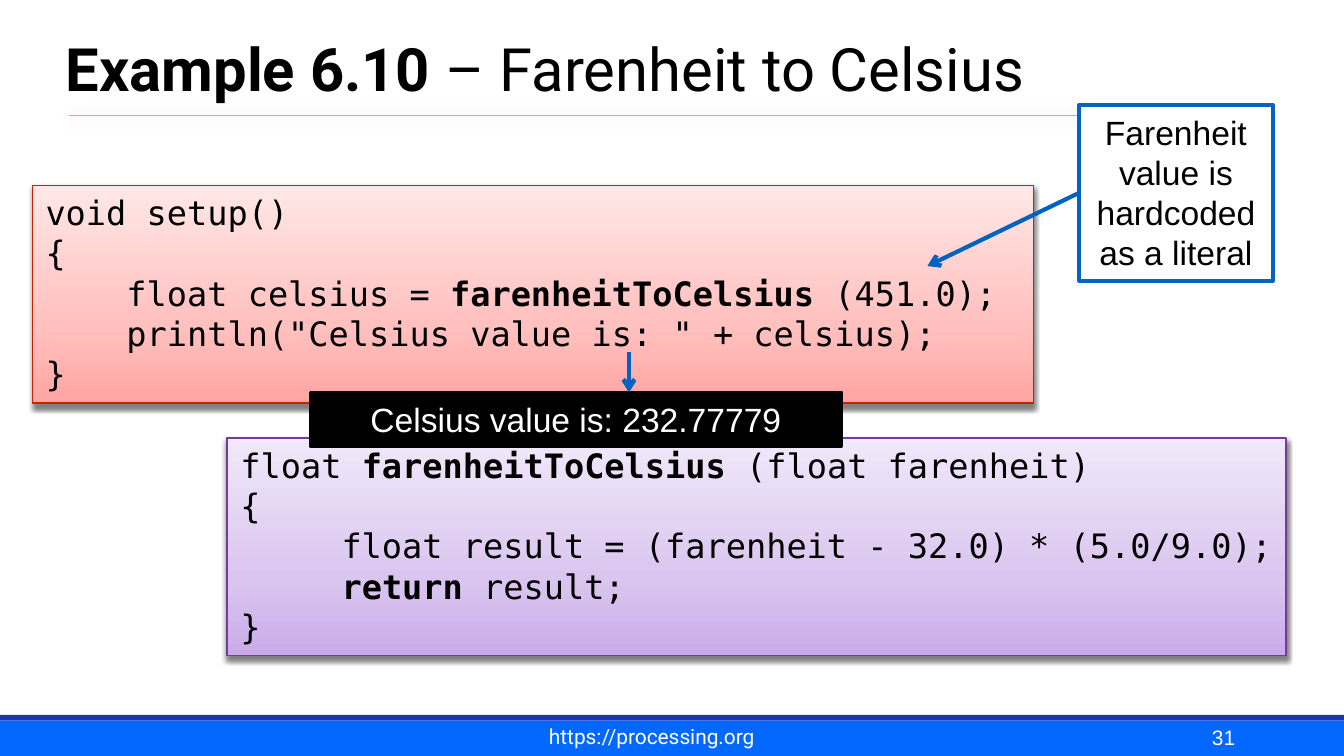
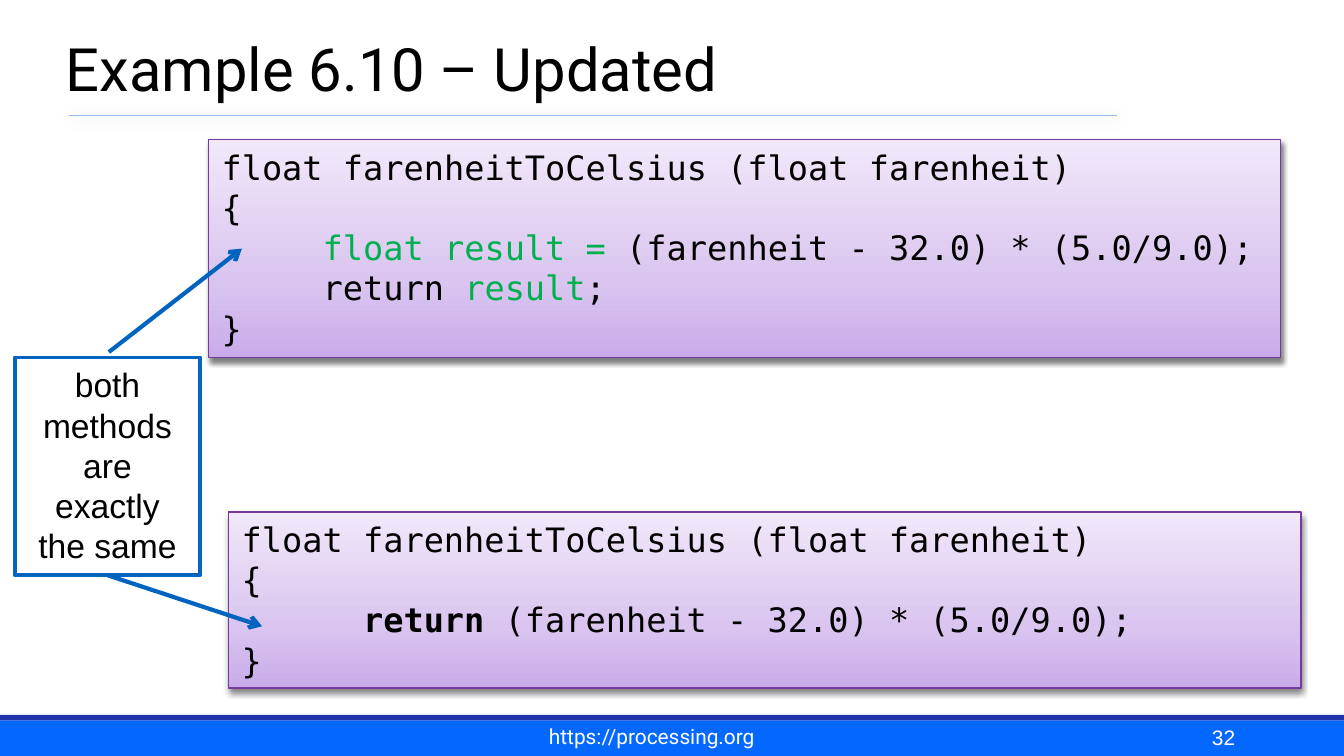
"""Builds two code-example slides on converting Farenheit to Celsius."""
from lxml import etree
from pptx import Presentation
from pptx.dml.color import RGBColor
from pptx.enum.shapes import MSO_CONNECTOR, MSO_SHAPE
from pptx.enum.text import MSO_ANCHOR, PP_ALIGN
from pptx.oxml.ns import qn
from pptx.util import Inches, Pt

RECTANGLE = MSO_SHAPE.RECTANGLE
STRAIGHT = MSO_CONNECTOR.STRAIGHT
TOP, BOTTOM = MSO_ANCHOR.TOP, MSO_ANCHOR.BOTTOM
LEFT, CENTER, RIGHT = PP_ALIGN.LEFT, PP_ALIGN.CENTER, PP_ALIGN.RIGHT

WIDTH = 10
HEIGHT = WIDTH * 9 / 16
BAND_TOP = 5.36

COLORS = {
    "black": "000000", "white": "FFFFFF", "green": "00B050",
    "band": "0368FF", "band_edge": "1F33AB",
    "rule": "94BBE7", "rule_shadow": "003D62",
    "callout": "0365C0", "arrow": "0063BF",
    "red_line": "C82101", "purple_line": "753B9A",
}
GRADIENTS = {
    "red": ((0, "FFA5A3"), (35, "FFC0BE"), (100, "FFE7E6")),
    "purple": ((0, "CAABEA"), (35, "D9C5EF"), (100, "F1E8FA")),
}


def add_box(slide, at, lines=(), fill=None, gradient=None, line=None, line_width=2,
            font="Arial", size=18, color="black", align=CENTER, anchor=TOP, inset=(0.1, 0.05)):
    """Add a rectangle; each line is a list of strings or (string, style) pairs."""
    box = slide.shapes.add_shape(RECTANGLE, *map(Inches, at))
    box.shadow.inherit = False
    if gradient:
        box.fill.gradient()
        box.fill.gradient_angle = 90
        stops = box.element.spPr.find(qn("a:gradFill")).find(qn("a:gsLst"))
        for stop in list(stops):
            stops.remove(stop)
        for position, shade in GRADIENTS[gradient]:
            stop = etree.SubElement(stops, qn("a:gs"), pos=str(position * 1000))
            etree.SubElement(stop, qn("a:srgbClr"), val=shade)
        effects = box.element.spPr.find(qn("a:effectLst"))
        shadow = etree.SubElement(effects, qn("a:outerShdw"), blurRad=str(Pt(3)),
                                  dist=str(Pt(2)), dir="5400000", rotWithShape="0")
        shade = etree.SubElement(shadow, qn("a:srgbClr"), val=COLORS["black"])
        etree.SubElement(shade, qn("a:alpha"), val="50000")
    elif fill:
        box.fill.solid()
        box.fill.fore_color.rgb = RGBColor.from_string(COLORS[fill])
    else:
        box.fill.background()
    if line:
        box.line.color.rgb = RGBColor.from_string(COLORS[line])
        box.line.width = Pt(line_width)
    else:
        box.line.fill.background()

    frame = box.text_frame
    frame.word_wrap = True
    frame.vertical_anchor = anchor
    frame.margin_left = frame.margin_right = Inches(inset[0])
    frame.margin_top = frame.margin_bottom = Inches(inset[1])
    for index, pieces in enumerate(lines):
        paragraph = frame.add_paragraph() if index else frame.paragraphs[0]
        paragraph.alignment = align
        for piece in pieces:
            text, style = (piece, None) if isinstance(piece, str) else piece
            run = paragraph.add_run()
            run.text = text
            run.font.name = font
            run.font.size = Pt(size)
            run.font.bold = style == "bold"
            run.font.color.rgb = RGBColor.from_string(COLORS["green" if style == "green" else color])
    return box


def add_line(slide, start, end, color="arrow", width=2.25, arrow=True, source=None, side=0):
    """Add a line, with an arrowhead or a soft shadow, from a point or the side of a box."""
    connector = slide.shapes.add_connector(STRAIGHT, *map(Inches, start + end))
    if source is not None:
        connector.begin_connect(source, side)
    connector.line.color.rgb = RGBColor.from_string(COLORS[color])
    connector.line.width = Pt(width)
    properties = connector.element.spPr
    effects = etree.SubElement(properties, qn("a:effectLst"))
    if arrow:
        etree.SubElement(properties.find(qn("a:ln")), qn("a:tailEnd"), type="arrow")
    else:
        shadow = etree.SubElement(effects, qn("a:outerShdw"), blurRad=str(Pt(8)),
                                  dist=str(Pt(1)), dir="2700000", rotWithShape="0")
        shade = etree.SubElement(shadow, qn("a:srgbClr"), val=COLORS["rule_shadow"])
        etree.SubElement(shade, qn("a:alpha"), val="20000")


CODE = {"font": "DejaVu Sans Mono", "align": LEFT, "line_width": 0.75}
RED_CODE = {**CODE, "gradient": "red", "line": "red_line"}
PURPLE_CODE = {**CODE, "gradient": "purple", "line": "purple_line"}
CALLOUT = {"fill": "white", "line": "callout"}
TITLES = (
    (31, [("Example 6.10 ", "bold"), "– Farenheit to Celsius"]),
    (32, ["Example 6.10 – Updated"]),
)

deck = Presentation()
deck.slide_width, deck.slide_height = Inches(WIDTH), Inches(HEIGHT)

slides = []
for number, title in TITLES:
    slide = deck.slides.add_slide(deck.slide_layouts[6])
    add_box(slide, (0, BAND_TOP, WIDTH, HEIGHT - BAND_TOP), fill="band")
    add_box(slide, (0, 5.32, WIDTH, 0.04), fill="band_edge")
    add_line(slide, (0.51, 0.86), (8.31, 0.86), color="rule", width=1, arrow=False)
    add_box(slide, (0.43, 0, 8.5, 0.83), [title], font="Roboto", size=32,
            align=LEFT, anchor=BOTTOM, inset=(0.06, 0.06))
    add_box(slide, (3.52, 5.35, 2.66, 0.26), [["https://processing.org"]], font="Roboto",
            size=11.2, color="white", anchor=BOTTOM, inset=(0.08, 0.04))
    add_box(slide, (7.17, 5.33, 2.08, 0.31), [[str(number)]], size=11.2, color="white",
            align=RIGHT, anchor=BOTTOM, inset=(0.06, 0.06))
    slides.append(slide)
first, updated = slides

add_box(first, (1.69, 3.26, 7.88, 1.62), [
    ["float ", ("farenheitToCelsius ", "bold"), "(float farenheit)"],
    ["{"],
    ["     float result = (farenheit - 32.0) * (5.0/9.0);"],
    ["     ", ("return", "bold"), " result;"],
    ["}"],
], **PURPLE_CODE)
add_box(first, (0.24, 1.38, 7.45, 1.62), [
    ["void setup()"],
    ["{"],
    ["    float celsius = ", ("farenheitToCelsius", "bold"), " (451.0);"],
    ['    println("Celsius value is: " + celsius);'],
    ["}"],
], **RED_CODE)
literal_note = add_box(first, (8.03, 0.78, 1.44, 1.31),
                       [["Farenheit value is hardcoded as a literal"]], **CALLOUT)
add_line(first, (8.03, 1.44), (6.9, 1.98), source=literal_note, side=1)
add_box(first, (2.31, 2.92, 3.95, 0.4), [["Celsius value is: 232.77779"]],
        fill="black", line="black", color="white")
add_line(first, (4.68, 2.62), (4.68, 2.92))

add_box(updated, (1.7, 3.81, 7.98, 1.31), [
    ["float farenheitToCelsius (float farenheit)"],
    ["{"],
    ["      ", ("return", "bold"), " (farenheit - 32.0) * (5.0/9.0);"],
    ["}"],
], **PURPLE_CODE)
same_note = add_box(updated, (0.11, 2.66, 1.38, 1.62),
                    [["both methods are exactly the same"]], **CALLOUT)
add_line(updated, (0.8, 4.28), (1.95, 4.66), source=same_note, side=2)
add_box(updated, (1.55, 1.04, 7.98, 1.62), [
    ["float farenheitToCelsius (float farenheit)"],
    ["{"],
    ["     ", ("float result = ", "green"), "(farenheit - 32.0) * (5.0/9.0);"],
    ["     return ", ("result", "green"), ";"],
    ["}"],
], **PURPLE_CODE)
add_line(updated, (0.81, 2.62), (1.8, 1.85))

deck.save("out.pptx")
